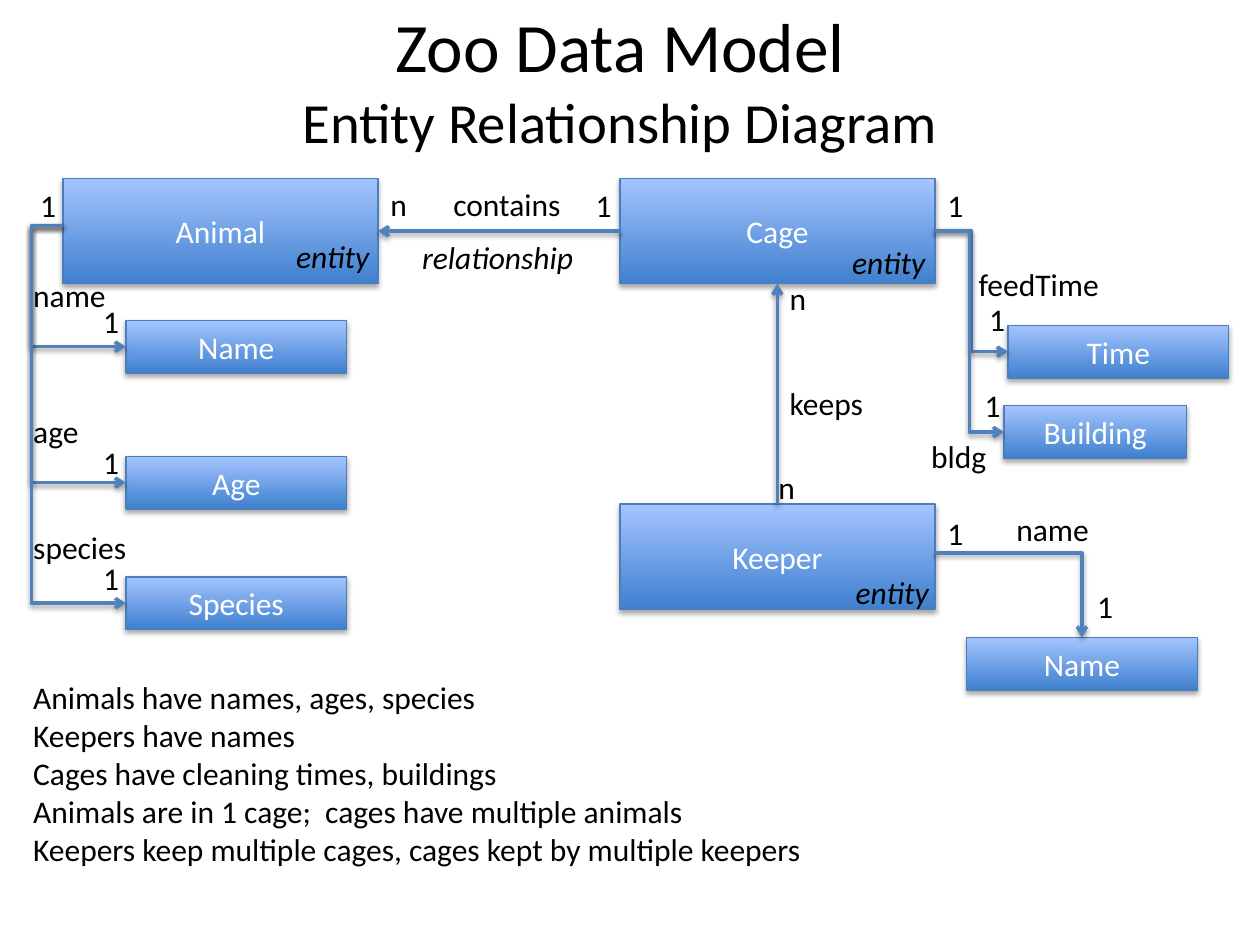
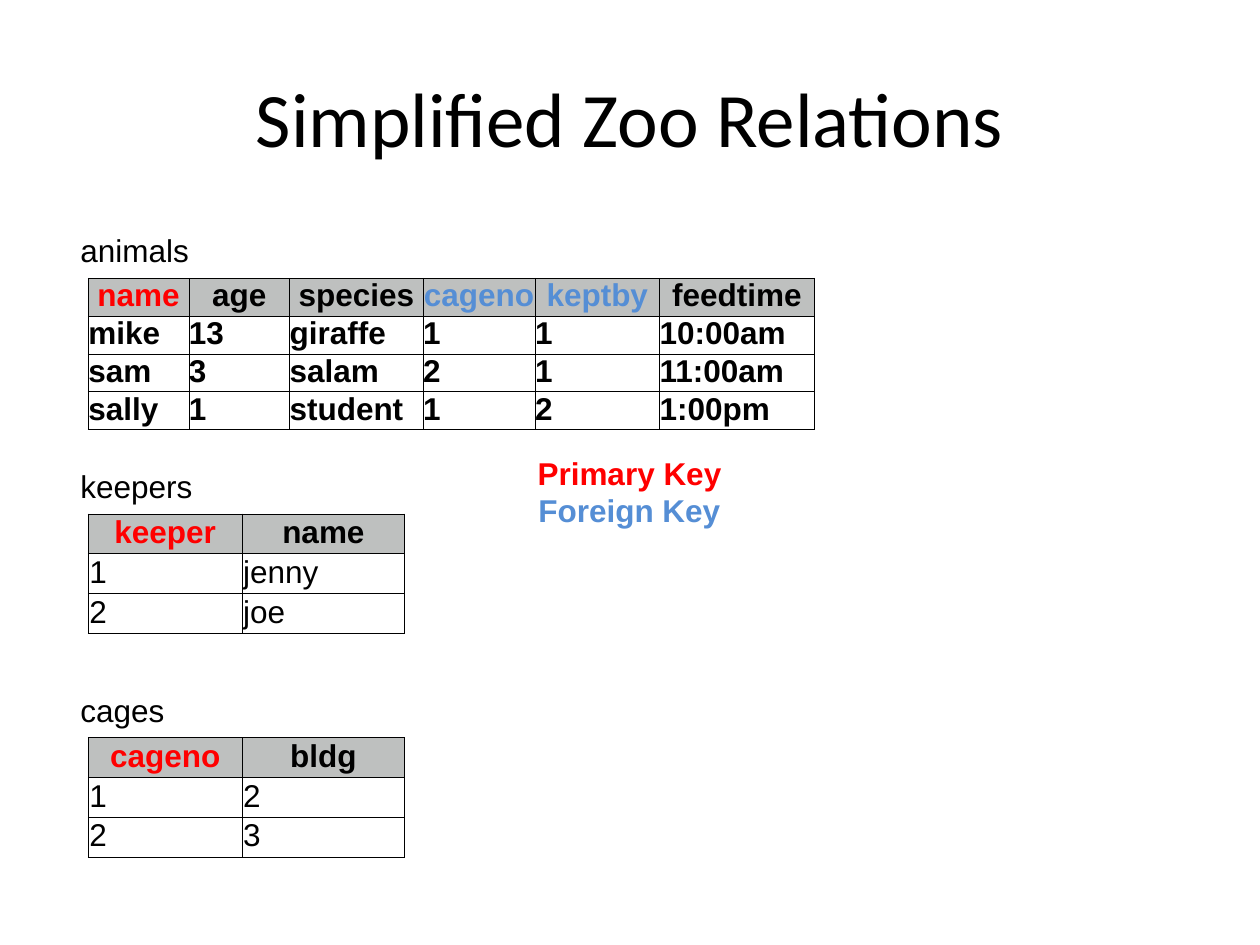
import lxml.etree
import pptx
import pptx.dml.color
import pptx.enum.shapes
import pptx.enum.text
import pptx.oxml.ns
import pptx.util

Cm, Pt = pptx.util.Cm, pptx.util.Pt
RGBColor = pptx.dml.color.RGBColor
qn = pptx.oxml.ns.qn
CENTER = pptx.enum.text.PP_ALIGN.CENTER
LEFT = pptx.enum.text.PP_ALIGN.LEFT
MIDDLE = pptx.enum.text.MSO_ANCHOR.MIDDLE

BLACK = RGBColor(0x00, 0x00, 0x00)
WHITE = RGBColor(0xFF, 0xFF, 0xFF)
BOX_DARK = RGBColor(0x3F, 0x80, 0xCE)
BOX_LIGHT = RGBColor(0xA4, 0xC4, 0xFF)
BOX_EDGE = RGBColor(0x4B, 0x7E, 0xBC)
ARROW = RGBColor(0x4F, 0x81, 0xBD)
HEADER_FILL = RGBColor(0xBE, 0xC0, 0xBF)
PRIMARY_KEY = RGBColor(0xFF, 0x00, 0x00)
FOREIGN_KEY = RGBColor(0x55, 0x8E, 0xD5)
DIAGRAM_FONT = "Calibri"
TABLE_FONT = "Arial"
TEXT_SIZE = 18
TITLE_ONLY_LAYOUT = 5
LABEL_HEIGHT = 1.03

# All lengths are in centimetres.
DIAGRAM_TITLE = [("Zoo Data Model", 39.6), ("Entity Relationship Diagram", 32.4)]
RELATIONS_TITLE = [("Simplified Zoo Relations", 44)]

ENTITY_WIDTH, ENTITY_HEIGHT = 6.35, 2.12
ATTRIBUTE_HEIGHT = 1.06
CORNER = "corner"
# name: (left, top, point where attribute arrows leave, bend as a share of the width)
ENTITIES = {
    "Animal": (1.27, 3.6, (1.27, 4.55), -0.5),
    "Cage": (12.5, 3.6, (18.85, 4.66), 0.5),
    "Keeper": (12.5, 10.16, (18.85, 11.15), CORNER),
}
# (entity, attribute, left, top, width)
ATTRIBUTES = [
    ("Animal", "Name", 2.54, 6.46, 4.45),
    ("Animal", "Age", 2.54, 9.2, 4.45),
    ("Animal", "Species", 2.54, 11.63, 4.45),
    ("Cage", "Time", 20.32, 6.56, 4.45),
    ("Cage", "Building", 20.24, 8.18, 3.68),
    ("Keeper", "Name", 19.48, 12.85, 4.66),
]
RELATIONSHIPS = [((12.5, 4.66), (7.62, 4.66)), ((15.67, 10.16), (15.67, 5.72))]

# (text, width, places)
LABELS = [
    ("1", 0.84, [(0.56, 3.63), (11.76, 3.63), (18.85, 3.63), (1.83, 5.97), (1.83, 8.81),
                 (1.83, 11.15), (19.69, 5.92), (19.6, 7.65), (18.85, 10.24), (21.87, 11.71)]),
    ("n", 0.86, [(7.62, 3.6), (15.67, 5.51), (15.44, 9.32)]),
    ("name", 1.98, [(0.42, 5.44), (20.24, 10.16)]),
    ("age", 1.45, [(0.42, 8.18)]),
    ("species", 2.41, [(0.42, 10.52)]),
    ("feedTime", 2.95, [(19.48, 5.21)]),
    ("bldg", 1.63, [(18.52, 8.69)]),
    ("keeps", 2.01, [(15.67, 7.62)]),
    ("contains", 2.69, [(8.89, 3.6)]),
]
ROLES = [
    ("entity", 2.29, [(5.72, 4.65), (16.93, 4.78), (17, 11.43)]),
    ("relationship", 4.01, [(8.26, 4.67)]),
]
FACTS = [
    "Animals have names, ages, species",
    "Keepers have names",
    "Cages have cleaning times, buildings",
    "Animals are in 1 cage;  cages have multiple animals",
    "Keepers keep multiple cages, cages kept by multiple keepers",
]

KEY_LEGEND = [("Primary Key", PRIMARY_KEY), ("Foreign Key", FOREIGN_KEY)]
TABLE_LEFT, CAPTION_LEFT, CAPTION_RISE = 1.78, 1.37, 1.07
RELATIONS = [
    {"caption": "animals", "top": 5.61, "row_height": 0.72, "margin": 0, "bold": True,
     "widths": [2.03, 2.03, 2.69, 2.26, 2.51, 3.12],
     "primary": ["name"], "foreign": ["cageno", "keptby"],
     "rows": [["name", "age", "species", "cageno", "keptby", "feedtime"],
              ["mike", "13", "giraffe", "1", "1", "10:00am"],
              ["sam", "3", "salam", "2", "1", "11:00am"],
              ["sally", "1", "student", "1", "2", "1:00pm"]]},
    {"caption": "keepers", "top": 10.36, "row_height": 0.75, "margin": 0.02, "bold": False,
     "widths": [3.1, 3.28], "primary": ["keeper"], "foreign": [],
     "rows": [["keeper", "name"], ["1", "jenny"], ["2", "joe"]]},
    {"caption": "cages", "top": 14.87, "row_height": 0.8, "margin": 0.02, "bold": False,
     "widths": [3.1, 3.28], "primary": ["cageno"], "foreign": [],
     "rows": [["cageno", "bldg"], ["1", "2"], ["2", "3"]]},
]


def format_paragraph(paragraph, font_name, color, alignment=LEFT, bold=False, italic=False):
    paragraph.alignment = alignment
    for run in paragraph.runs:
        run.font.name = font_name
        run.font.size = Pt(TEXT_SIZE)
        run.font.color.rgb = color
        run.font.bold = bold
        run.font.italic = italic


def add_title(slide, lines, left, top):
    title = slide.shapes.title
    title.left, title.top, title.width, title.height = Cm(left), Cm(top), Cm(22.86), Cm(3.18)
    title.text_frame.text = "\v".join(text for text, size in lines)
    title.text_frame.vertical_anchor = MIDDLE
    paragraph = title.text_frame.paragraphs[0]
    format_paragraph(paragraph, DIAGRAM_FONT, BLACK, CENTER)
    for run, (text, size) in zip(paragraph.runs, lines):
        run.font.size = Pt(size)


def add_text(slide, lines, left, top, width, font_name, wrap=False, colors=None, **style):
    box = slide.shapes.add_textbox(Cm(left), Cm(top), Cm(width), Cm(LABEL_HEIGHT * len(lines)))
    frame = box.text_frame
    frame.text = "\n".join(lines)
    frame.word_wrap = wrap
    frame.auto_size = pptx.enum.text.MSO_AUTO_SIZE.SHAPE_TO_FIT_TEXT
    for paragraph, color in zip(frame.paragraphs, colors or [BLACK] * len(lines)):
        format_paragraph(paragraph, font_name, color, **style)


def add_shadow(shape, opacity, distance):
    """Give the shape a soft shadow straight below it; distance is in points."""
    properties = shape.element.spPr
    effects = properties.find(qn("a:effectLst"))
    if effects is None:
        effects = lxml.etree.SubElement(properties, qn("a:effectLst"))
    shadow = lxml.etree.SubElement(effects, qn("a:outerShdw"), blurRad=str(Pt(3.1)),
                                   dist=str(Pt(distance)), dir="5400000", rotWithShape="0")
    color = lxml.etree.SubElement(shadow, qn("a:srgbClr"), val=str(BLACK))
    lxml.etree.SubElement(color, qn("a:alpha"), val=str(opacity * 1000))


def add_box(slide, text, left, top, width, height):
    box = slide.shapes.add_shape(pptx.enum.shapes.MSO_SHAPE.RECTANGLE,
                                 Cm(left), Cm(top), Cm(width), Cm(height))
    box.fill.gradient()
    box.fill.gradient_angle = 90
    for stop, color in zip(box.fill.gradient_stops, (BOX_DARK, BOX_LIGHT)):
        stop.color.rgb = color
    box.line.color.rgb = BOX_EDGE
    box.line.width = Pt(0.75)
    box.shadow.inherit = False
    add_shadow(box, 35, 1.8)
    box.text_frame.text = text
    box.text_frame.vertical_anchor = MIDDLE
    format_paragraph(box.text_frame.paragraphs[0], DIAGRAM_FONT, WHITE, CENTER)


def add_arrow(slide, start, end, bend=None):
    """Draw a straight arrow, or an elbow when bend is a share of the width or CORNER."""
    kinds = pptx.enum.shapes.MSO_CONNECTOR
    kind = kinds.STRAIGHT if bend is None else kinds.ELBOW
    arrow = slide.shapes.add_connector(kind, *(Cm(value) for value in start + end))
    arrow.line.color.rgb = ARROW
    arrow.line.width = Pt(2)
    line = arrow.element.spPr.find(qn("a:ln"))
    lxml.etree.SubElement(line, qn("a:tailEnd"), type="arrow")
    add_shadow(arrow, 38, 1.6)
    geometry = arrow.element.spPr.find(qn("a:prstGeom"))
    if bend == CORNER:
        geometry.set("prst", "bentConnector2")
    elif bend is not None:
        adjustments = geometry.find(qn("a:avLst"))
        if adjustments is None:
            adjustments = lxml.etree.SubElement(geometry, qn("a:avLst"))
        lxml.etree.SubElement(adjustments, qn("a:gd"), name="adj1",
                              fmla=f"val {round(bend * 100000)}")


def add_borders(cell):
    properties = cell._tc.get_or_add_tcPr()
    for position, side in enumerate(("a:lnL", "a:lnR", "a:lnT", "a:lnB")):
        border = lxml.etree.Element(qn(side), w=str(Pt(0.5)))
        fill = lxml.etree.SubElement(border, qn("a:solidFill"))
        lxml.etree.SubElement(fill, qn("a:srgbClr"), val=str(BLACK))
        properties.insert(position, border)


def add_relation(slide, relation):
    rows, widths, top = relation["rows"], relation["widths"], relation["top"]
    add_text(slide, [relation["caption"]], CAPTION_LEFT, top - CAPTION_RISE, 4, TABLE_FONT, wrap=True)
    table = slide.shapes.add_table(len(rows), len(widths), Cm(TABLE_LEFT), Cm(top), Cm(sum(widths)),
                                   Cm(relation["row_height"] * len(rows))).table
    table.horz_banding = False
    for column, width in zip(table.columns, widths):
        column.width = Cm(width)
    header_colors = {**dict.fromkeys(relation["primary"], PRIMARY_KEY),
                     **dict.fromkeys(relation["foreign"], FOREIGN_KEY)}
    for row_index, values in enumerate(rows):
        table.rows[row_index].height = Cm(relation["row_height"])
        for column_index, value in enumerate(values):
            cell = table.cell(row_index, column_index)
            cell.text = value
            cell.margin_left = cell.margin_right = Cm(relation["margin"])
            cell.margin_top = cell.margin_bottom = Cm(relation["margin"])
            paragraph = cell.text_frame.paragraphs[0]
            if row_index == 0:
                cell.fill.solid()
                cell.fill.fore_color.rgb = HEADER_FILL
                format_paragraph(paragraph, TABLE_FONT, header_colors.get(value, BLACK), CENTER, bold=True)
            else:
                cell.fill.background()
                format_paragraph(paragraph, TABLE_FONT, BLACK, bold=relation["bold"])
            add_borders(cell)


def build_diagram(slide):
    add_title(slide, DIAGRAM_TITLE, 1.07, 0)
    for name, (left, top, exit_point, bend) in ENTITIES.items():
        add_box(slide, name, left, top, ENTITY_WIDTH, ENTITY_HEIGHT)
    for entity, name, left, top, width in ATTRIBUTES:
        add_box(slide, name, left, top, width, ATTRIBUTE_HEIGHT)
        exit_point, bend = ENTITIES[entity][2:]
        end = (left + width / 2, top) if bend == CORNER else (left, top + ATTRIBUTE_HEIGHT / 2)
        add_arrow(slide, exit_point, end, bend)
    for start, end in RELATIONSHIPS:
        add_arrow(slide, start, end)
    for labels, is_role in ((LABELS, False), (ROLES, True)):
        for text, width, places in labels:
            for left, top in places:
                add_text(slide, [text], left, top, width, DIAGRAM_FONT, wrap=is_role, italic=is_role)
    add_text(slide, FACTS, 0.42, 13.55, 21.4, DIAGRAM_FONT, wrap=True)


def build_relations(slide):
    add_title(slide, RELATIONS_TITLE, 1.27, 0.76)
    for relation in RELATIONS:
        add_relation(slide, relation)
    lines, colors = zip(*KEY_LEGEND)
    add_text(slide, lines, 10.57, 9.02, 4.24, TABLE_FONT, colors=colors, alignment=CENTER, bold=True)


def main():
    presentation = pptx.Presentation()
    presentation.slide_width, presentation.slide_height = Cm(25.4), Cm(19.05)
    layout = presentation.slide_layouts[TITLE_ONLY_LAYOUT]
    for build in (build_diagram, build_relations):
        build(presentation.slides.add_slide(layout))
    presentation.save("out.pptx")


if __name__ == "__main__":
    main()
